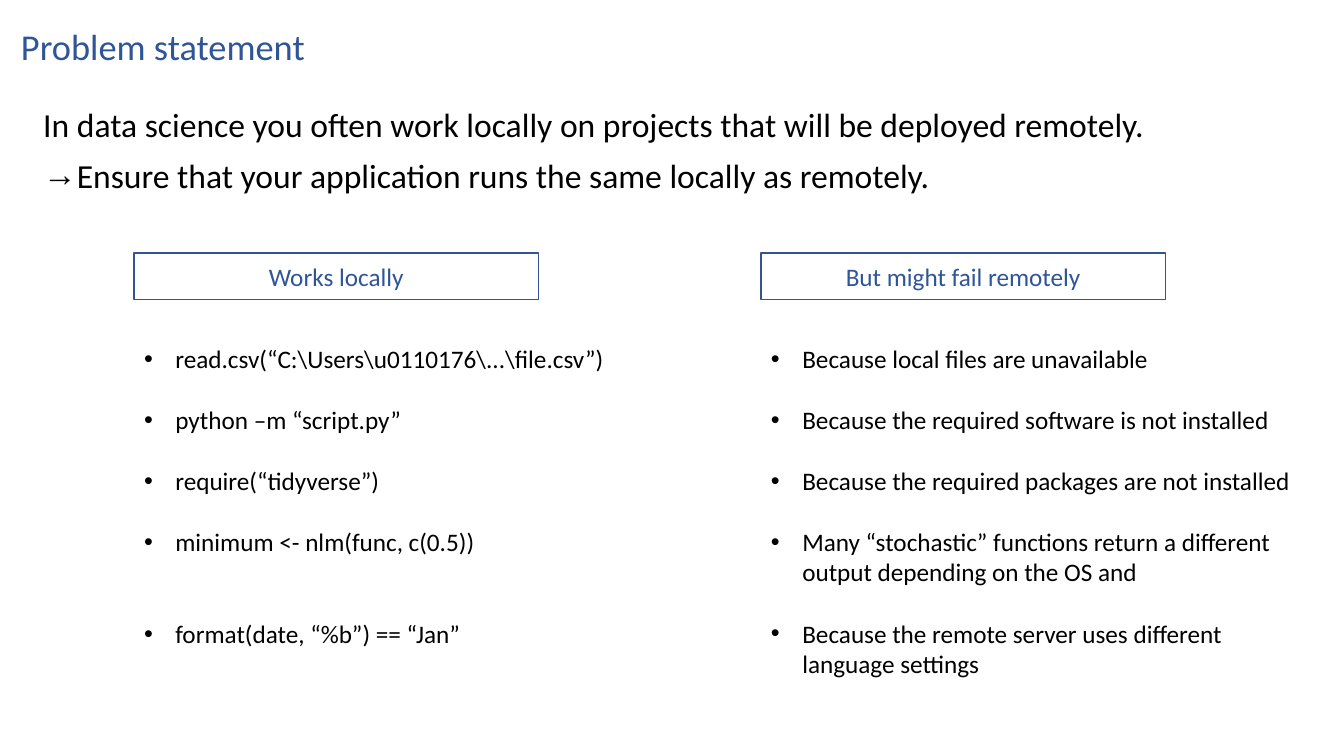
from dataclasses import dataclass

from lxml.etree import SubElement
from pptx import Presentation
from pptx.dml.color import RGBColor
from pptx.enum.shapes import MSO_SHAPE as Shape
from pptx.enum.text import MSO_ANCHOR as Anchor, PP_ALIGN as Align
from pptx.oxml.ns import qn
from pptx.util import Cm, Pt

COLORS = {"text": "000000", "accent": "2F5597", "border": "325491", "fill": "FFFFFF"}
FONT = "Calibri"
LIST_GAP = 22


@dataclass
class Line:
    text: str
    bullet: str = ""
    indent: float = 0
    before: float = 0
    spacing: float = 1.0


@dataclass
class Column:
    left: float
    width: float
    heading: str
    items: list[Line]


def item(text: str, gap_lines: int = 1) -> Line:
    return Line(text, "•", 0.79, gap_lines * LIST_GAP)


INTRO = [
    Line("In data science you often work locally on projects that will be deployed remotely.",
         before=10, spacing=0.9),
    Line("Ensure that your application runs the same locally as remotely.",
         "→", 0.64, 10, 0.9),
]

COLUMNS = [
    Column(3.38, 12.6, "Works locally", [
        item(r"read.csv(“C:\Users\u0110176\...\file.csv”)", 0),
        item("python –m “script.py”"),
        item("require(“tidyverse”)"),
        item("minimum <- nlm(func, c(0.5))"),
        item("format(date, “%b”) == “Jan”", 2),
    ]),
    Column(19.18, 13.74, "But might fail remotely", [
        item("Because local files are unavailable", 0),
        item("Because the required software is not installed"),
        item("Because the required packages are not installed"),
        item("Many “stochastic” functions return a different\voutput depending on the OS and"),
        item("Because the remote server uses different\vlanguage settings"),
    ]),
]


def style(p, size: float, color: str) -> None:
    for r in p.runs:
        r.font.name = FONT
        r.font.size = Pt(size)
        r.font.color.rgb = RGBColor.from_string(COLORS[color])


def add_bullet(p, char: str, indent: float) -> None:
    pPr = p._p.get_or_add_pPr()
    pPr.set("marL", str(Cm(indent)))
    pPr.set("indent", str(-Cm(indent)))
    SubElement(pPr, qn("a:buFont"), typeface="Arial")
    SubElement(pPr, qn("a:buChar"), char=char)


def add_text(slide, left: float, top: float, width: float, height: float,
             lines: list[Line], size: float, color: str = "text",
             anchor: Anchor = Anchor.TOP) -> None:
    tf = slide.shapes.add_textbox(Cm(left), Cm(top), Cm(width), Cm(height)).text_frame
    tf.word_wrap = True
    tf.vertical_anchor = anchor
    for i, line in enumerate(lines):
        p = tf.add_paragraph() if i else tf.paragraphs[0]
        p.text = line.text
        p.line_spacing = line.spacing
        p.space_before = Pt(line.before)
        if line.bullet:
            add_bullet(p, line.bullet, line.indent)
        style(p, size, color)


def add_heading(slide, left: float, text: str) -> None:
    sp = slide.shapes.add_shape(Shape.RECTANGLE, Cm(left), Cm(6.38), Cm(10.19), Cm(1.17))
    sp.shadow.inherit = False
    sp.fill.solid()
    sp.fill.fore_color.rgb = RGBColor.from_string(COLORS["fill"])
    sp.line.color.rgb = RGBColor.from_string(COLORS["border"])
    sp.line.width = Pt(1)
    tf = sp.text_frame
    tf.vertical_anchor = Anchor.MIDDLE
    p = tf.paragraphs[0]
    p.text = text
    p.alignment = Align.CENTER
    style(p, 18, "accent")


def main() -> None:
    prs = Presentation()
    prs.slide_width, prs.slide_height = Cm(33.87), Cm(19.05)
    slide = prs.slides.add_slide(prs.slide_layouts[6])
    add_text(slide, 0.28, 0.36, 24, 1.75, [Line("Problem statement", spacing=0.9)],
             26, "accent", Anchor.MIDDLE)
    add_text(slide, 0.84, 2.62, 31.62, 2.87, INTRO, 24)
    for column in COLUMNS:
        add_heading(slide, column.left, column.heading)
        add_text(slide, column.left, 8.53, column.width, 9.5, column.items, 18)
    prs.save("out.pptx")


if __name__ == "__main__":
    main()
